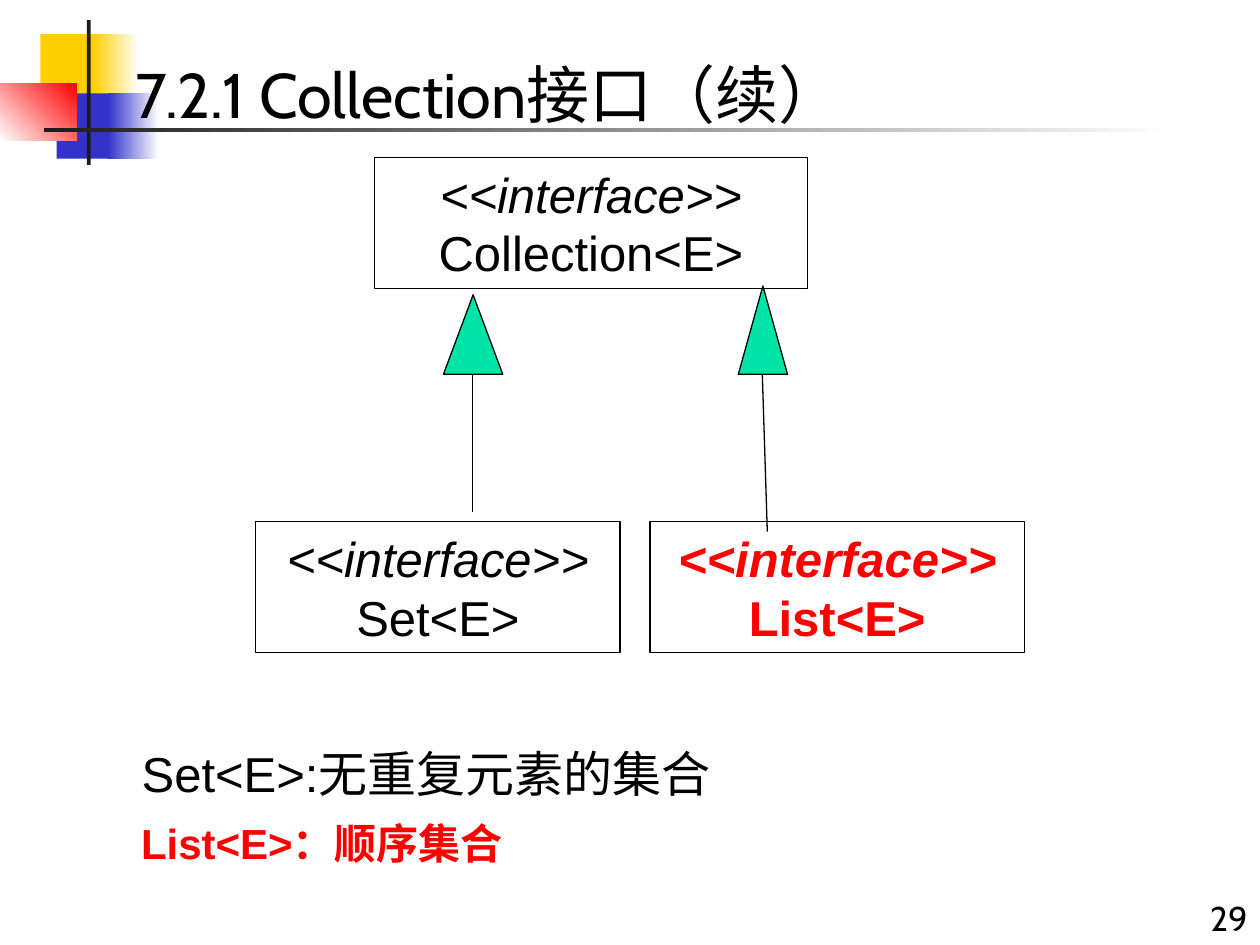
from lxml import etree
from pptx import Presentation
from pptx.dml.color import RGBColor
from pptx.enum.shapes import MSO_CONNECTOR, MSO_SHAPE
from pptx.enum.text import MSO_ANCHOR as Anchor, PP_ALIGN as Align
from pptx.oxml.ns import qn
from pptx.util import Emu, Pt

SCALE = 9144  # EMU per px, 100 px to the inch
BLACK, WHITE, RED = "000000", "FFFFFF", "FF0000"
YELLOW, BLUE, DARK, GREEN = "FFCF01", "3333CC", "1C1C1C", "00E4A8"

# Corner ornament: left, top, width, height, colours, gradient angle
ORNAMENT = [
    (32, 27, 48, 52, [YELLOW], 0),
    (74, 27, 36, 52, [YELLOW, WHITE], 0),
    (45, 74, 46, 52, [BLUE], 0),
    (86, 74, 40, 52, [BLUE, WHITE], 0),
    (0, 66, 61, 46, [WHITE, RED], 45),
    (69, 16, 3, 115, [DARK], 0),
    (35, 102, 900, 3, [DARK, WHITE], 0),
]

# Interfaces: left, top, width, name, colour, bold
INTERFACES = [
    (297, 125, 344, "Collection<E>", BLACK, False),
    (203, 414, 289, "Set<E>", BLACK, False),
    (516, 414, 297, "List<E>", RED, True),
]
INTERFACE_HEIGHT = 104

# Inheritance arrows: head left, top, width, then line start x, end x, end y
ARROWS = [(352, 234, 47, 375, 375, 406), (586, 227, 39, 605, 609, 422)]
HEAD_BOTTOM = 297

# Texts: place, wording, format
TEXTS = [
    ((792, 700, 208, 50), "29",
     dict(size=19.6, font="Cabin", align=Align.RIGHT, anchor=Anchor.BOTTOM, wrap=True)),
    ((98, 39, 639, 70), "7.2.1 Collection接口（续）", dict(size=36, font="Cabin")),
    ((98, 644, 315, 50), "List<E>：顺序集合",
     dict(size=24, color=RED, bold=True, align=Align.CENTER)),
    ((98, 585, 480, 57), "Set<E>:无重复元素的集合", dict(align=Align.CENTER)),
]


def px(*values):
    return [Emu(value * SCALE) for value in values]


def rgb(color):
    return RGBColor.from_string(color)


def add_block(page, kind, place, colors, angle=0, outlined=False):
    block = page.shapes.add_shape(kind, *px(*place))
    block.shadow.inherit = False
    if len(colors) == 1:
        block.fill.solid()
        block.fill.fore_color.rgb = rgb(colors[0])
    else:
        block.fill.gradient()
        block.fill.gradient_angle = angle
        for stop, color in zip(block.fill.gradient_stops, colors):
            stop.color.rgb = rgb(color)
    if outlined:
        block.line.color.rgb = rgb(BLACK)
        block.line.width = Pt(0.75)
    else:
        block.line.fill.background()
    return block


def write(box, lines, size=28, font="Arial", color=BLACK, bold=False,
          align=Align.LEFT, anchor=Anchor.TOP, wrap=False):
    """Fill a box with (text, italic) lines in one format."""
    frame = box.text_frame
    frame.word_wrap = wrap
    frame.vertical_anchor = anchor
    for index, (text, italic) in enumerate(lines):
        para = frame.add_paragraph() if index else frame.paragraphs[0]
        para.alignment = align
        span = para.add_run()
        span.text = text
        span.font.size, span.font.name = Pt(size), font
        span.font.bold, span.font.italic = bold, italic
        span.font.color.rgb = rgb(color)


def add_line(page, *ends):
    line = page.shapes.add_connector(MSO_CONNECTOR.STRAIGHT, *px(*ends))
    line.line.color.rgb = rgb(BLACK)
    line.line.width = Pt(0.75)
    etree.SubElement(line._element.spPr, qn("a:effectLst"))


def main():
    deck = Presentation()
    deck.slide_width, deck.slide_height = px(1000, 750)
    page = deck.slides.add_slide(deck.slide_layouts[6])

    # Corner ornament and title rule
    for *place, colors, angle in ORNAMENT:
        add_block(page, MSO_SHAPE.RECTANGLE, place, colors, angle)

    # Interface boxes
    for left, top, width, name, color, bold in INTERFACES:
        box = add_block(page, MSO_SHAPE.RECTANGLE, (left, top, width, INTERFACE_HEIGHT),
                        [WHITE], outlined=True)
        write(box, [("<<interface>>", True), (name, False)], color=color, bold=bold,
              align=Align.CENTER, anchor=Anchor.MIDDLE, wrap=True)

    # Inheritance arrows
    for left, top, width, start_x, end_x, end_y in ARROWS:
        add_block(page, MSO_SHAPE.ISOSCELES_TRIANGLE,
                  (left, top, width, HEAD_BOTTOM - top), [GREEN], outlined=True)
        add_line(page, start_x, HEAD_BOTTOM, end_x, end_y)

    # Page number, title and notes under the diagram
    for place, text, style in TEXTS:
        write(page.shapes.add_textbox(*px(*place)), [(text, False)], **style)

    deck.save("out.pptx")


if __name__ == "__main__":
    main()
